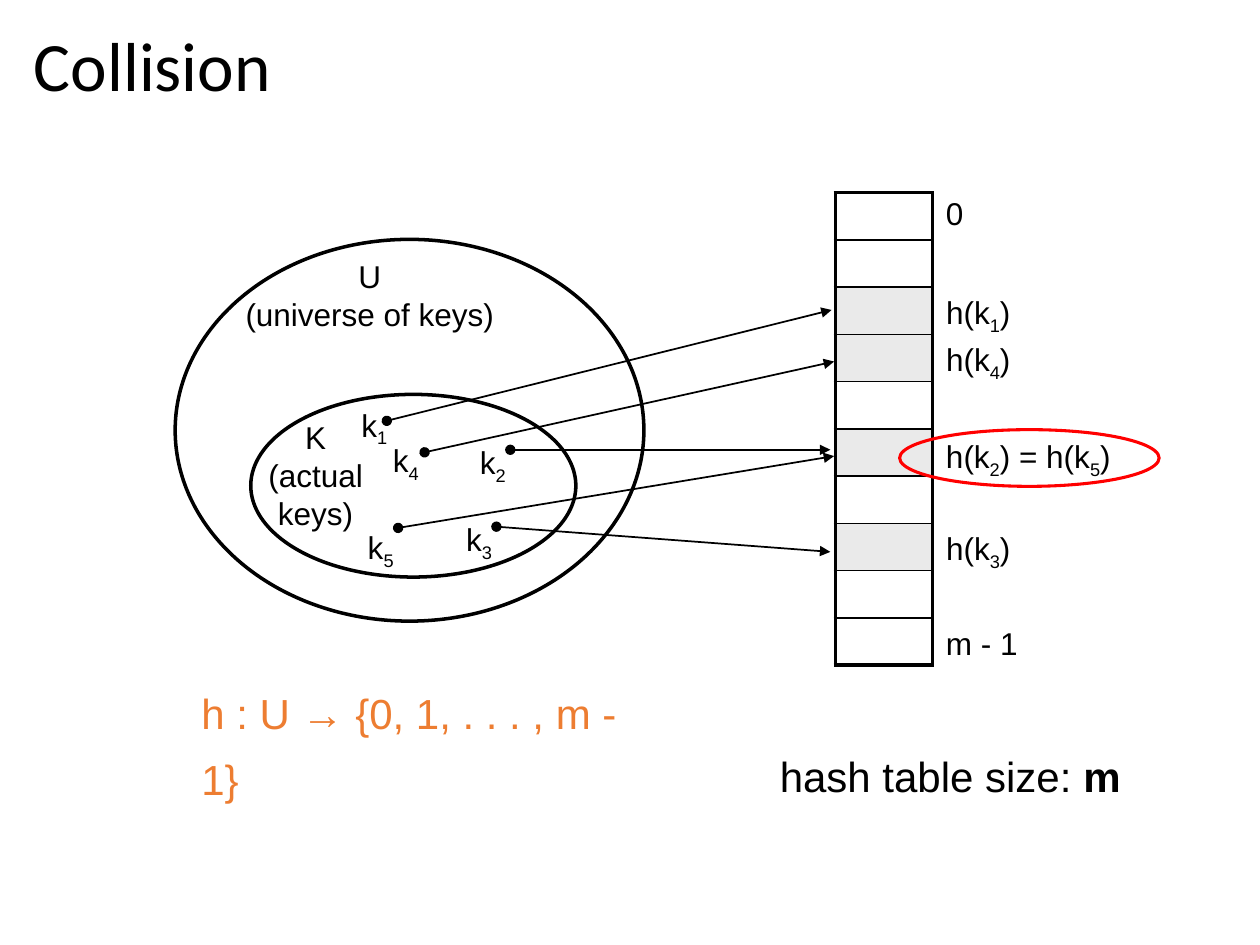
import pptx
import pptx.util
import pptx.dml.color
import pptx.enum.shapes
import pptx.enum.text
from lxml import etree
from pptx.util import Inches

BLACK, RED, ORANGE, GREY, WHITE = "000000", "FF0000", "ED7D31", "EAEAEA", "FFFFFF"
ALIGN = pptx.enum.text.PP_ALIGN


def color(hex_string):
    """Turn a hex string into a colour."""
    return pptx.dml.color.RGBColor.from_string(hex_string)


def add_child(parent, tag, **attributes):
    """Append a DrawingML element to a parent."""
    return etree.SubElement(parent, pptx.oxml.ns.qn(f"a:{tag}"), **attributes)


def add_run(paragraph, text, subscript=False):
    """Add a run, lowered when it is a subscript."""
    if text:
        run = paragraph.add_run()
        run.text = text
        if subscript:
            run.font._element.set("baseline", "-25000")


def add_label(slide, left, top, width, height, text, size=18, font="Arial",
              fill=BLACK, align=ALIGN.LEFT, wrap=False):
    """Place text in which an underscore lowers the character after it."""
    label = slide.shapes.add_textbox(Inches(left), Inches(top), Inches(width), Inches(height))
    frame = label.text_frame
    frame.word_wrap = wrap
    for index, line in enumerate(text.split("\n")):
        paragraph = frame.add_paragraph() if index else frame.paragraphs[0]
        paragraph.alignment = align
        paragraph.font.size = pptx.util.Pt(size)
        paragraph.font.name = font
        paragraph.font.color.rgb = color(fill)
        first, *rest = line.split("_")
        add_run(paragraph, first)
        for piece in rest:
            add_run(paragraph, piece[0], subscript=True)
            add_run(paragraph, piece[1:])
    return frame


def add_ellipse(slide, left, top, width, height, line=BLACK, weight=2):
    """Draw an unfilled ellipse."""
    ellipse = slide.shapes.add_shape(
        pptx.enum.shapes.MSO_SHAPE.OVAL, Inches(left), Inches(top), Inches(width), Inches(height))
    ellipse.shadow.inherit = False
    ellipse.fill.background()
    ellipse.line.color.rgb = color(line)
    ellipse.line.width = pptx.util.Pt(weight)


def add_title(slide, left, top, width, height):
    """Write the slide title."""
    title = add_label(slide, left, top, width, height, "Collision", 39.6, "Calibri", wrap=True)
    title.vertical_anchor = pptx.enum.text.MSO_ANCHOR.MIDDLE
    title.paragraphs[0].line_spacing = 0.9


def add_key_sets(slide, left, top, width, height):
    """Draw the universe of keys with the actual keys inside it."""
    add_ellipse(slide, left, top, width, height)
    add_ellipse(slide, left + 0.6, top + 1.23, 2.58, 1.45)
    add_label(slide, left + 0.46, top + 0.09, 2.17, 0.7, "U\n(universe of keys)", align=ALIGN.CENTER)
    add_label(slide, left + 0.64, top + 1.37, 0.95, 1, "K\n(actual\nkeys)", align=ALIGN.CENTER)
    key_places = {1: (1.38, 1.27), 4: (1.63, 1.55), 2: (2.32, 1.57), 5: (1.43, 2.24), 3: (2.21, 2.18)}
    for key, (x, y) in key_places.items():
        add_label(slide, left + x, top + y, 0.42, 0.4, f"k_{key}")


def set_borders(cell, top, bottom):
    """Draw heavy sides and the given top and bottom borders."""
    properties = cell._tc.get_or_add_tcPr()
    edges = (("lnL", 2.25), ("lnR", 2.25), ("lnT", top), ("lnB", bottom))
    for index, (tag, weight) in enumerate(edges):
        border = add_child(properties, tag, w=str(pptx.util.Pt(weight)))
        add_child(add_child(border, "solidFill"), "srgbClr", val=BLACK)
        properties.insert(index, border)


def add_hash_table(slide, left, top, width, height):
    """Draw the slots, the labels beside them and the collision ring."""
    row_count, used_rows = 10, (2, 3, 5, 7)
    slots = slide.shapes.add_table(
        row_count, 1, Inches(left), Inches(top), Inches(width), Inches(height)).table
    slots.first_row = slots.horz_banding = False
    for row in range(row_count):
        cell = slots.cell(row, 0)
        cell.margin_top = cell.margin_bottom = 0
        cell.fill.solid()
        cell.fill.fore_color.rgb = color(GREY if row in used_rows else WHITE)
        set_borders(cell, 1 if row else 2.25, 1 if row < row_count - 1 else 2.25)
    slot_labels = (
        (-0.04, 0.34, "0"), (0.75, 0.72, "h(k_1)"), (1.12, 0.72, "h(k_4)"),
        (1.89, 1.6, "h(k_2) = h(k_5)"), (2.62, 0.72, "h(k_3)"), (3.37, 0.77, "m - 1"))
    for y, label_width, text in slot_labels:
        add_label(slide, left + 0.78, top + y, label_width, 0.4, text)
    add_ellipse(slide, left + 0.51, top + 1.88, 2.06, 0.45, RED, 1.75)


def add_mapping(slide, start, end):
    """Draw an arrow from a key's dot to its slot."""
    arrow = slide.shapes.add_connector(
        pptx.enum.shapes.MSO_CONNECTOR.STRAIGHT, *map(Inches, start + end))
    arrow.line.color.rgb = color(BLACK)
    arrow.line.width = pptx.util.Pt(1)
    line = arrow.line._get_or_add_ln()
    add_child(line, "headEnd", type="oval")
    add_child(line, "tailEnd", type="triangle")
    add_child(arrow._element.spPr, "effectLst")


def add_captions(slide, left, top):
    """Write the hash function and the table size."""
    function = add_label(slide, left, top, 3.88, 0.62, "h : U → {0, 1, . . . , m - 1}",
                         24, fill=ORANGE, wrap=True).paragraphs[0]
    function.line_spacing = 1.3
    size = add_label(slide, left + 4.59, top + 0.62, 2.91, 0.51, "hash table size: ", 24)
    add_run(size.paragraphs[0], "m")
    size.paragraphs[0].runs[-1].font.bold = True


def main():
    """Build the slide."""
    presentation = pptx.Presentation()
    presentation.slide_width, presentation.slide_height = Inches(10), Inches(7.5)
    slide = presentation.slides.add_slide(presentation.slide_layouts[6])
    add_title(slide, 0.17, 0.18, 9.62, 0.74)
    add_key_sets(slide, 1.39, 1.9, 3.72, 3.03)
    add_hash_table(slide, 6.63, 1.53, 0.77, 3.75)
    mappings = (
        ((3.07, 3.34), (6.6, 2.46)), ((3.37, 3.59), (6.62, 2.87)), ((4.05, 3.57), (6.59, 3.57)),
        ((3.16, 4.19), (6.62, 3.62)), ((3.94, 4.18), (6.59, 4.38)))
    for start, end in mappings:
        add_mapping(slide, start, end)
    add_captions(slide, 1.5, 5.29)
    presentation.save("out.pptx")


if __name__ == "__main__":
    main()
